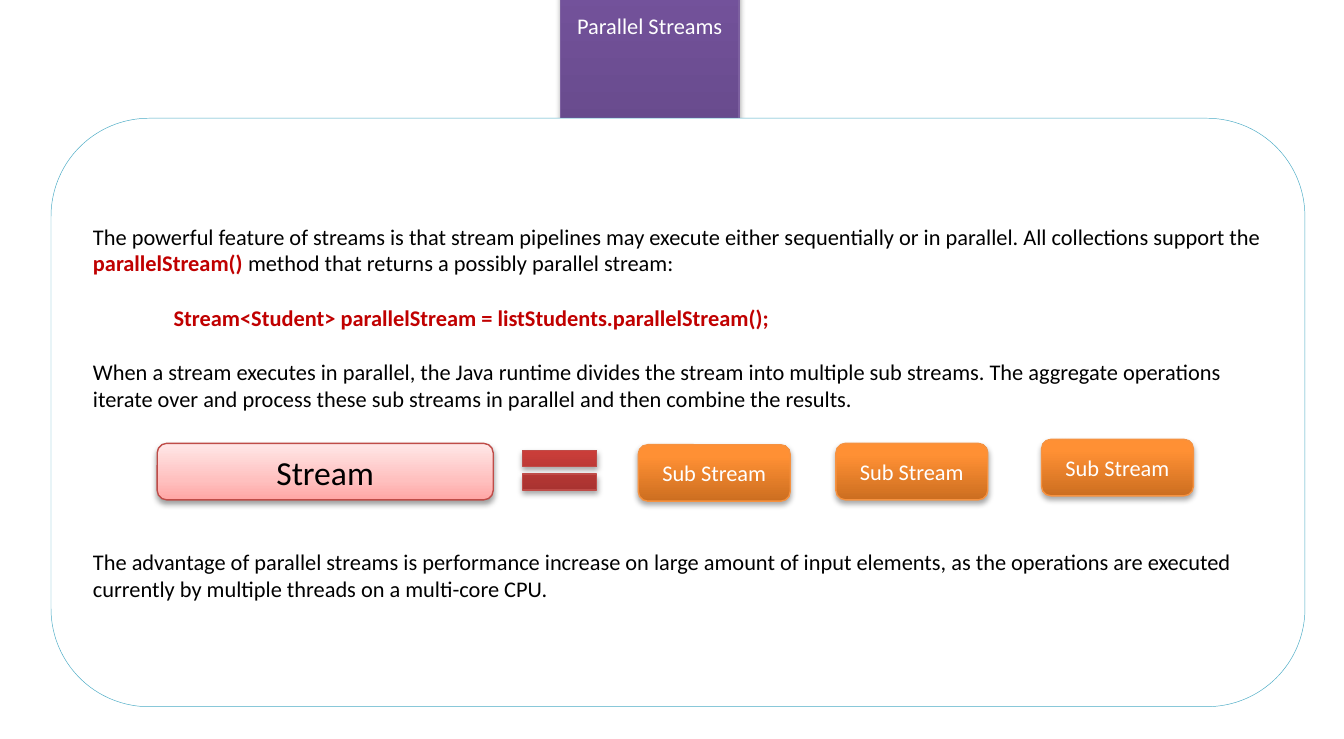
from dataclasses import dataclass

import lxml.etree
import pptx
import pptx.dml.color
import pptx.enum.shapes
import pptx.enum.text
import pptx.oxml.ns
import pptx.util

EMU_PER_PX = 9144  # 100 px to the inch
FONT = "Calibri"
BODY_SIZE = 12
LINE_PT = 14.65  # height of one body line
WHITE, BLACK, RED = "FFFFFF", "000000", "C00000"

SHAPE = pptx.enum.shapes.MSO_SHAPE
ALIGN = pptx.enum.text.PP_ALIGN
qn = pptx.oxml.ns.qn


@dataclass(frozen=True)
class Style:
    stops: tuple[tuple[int, str], ...]  # percent from the bottom, colour
    line: str
    shadow_alpha: int = 35


@dataclass(frozen=True)
class Block:
    kind: SHAPE
    box: tuple[int, int, int, int]
    style: Style
    text: str = ""
    size: int = BODY_SIZE
    color: str = WHITE


@dataclass(frozen=True)
class Para:
    runs: tuple[tuple[str, bool], ...]  # text, is code
    lines_before: int = 0
    indent: int = 0


PURPLE = Style(((0, "5F4480"), (80, "7B58A6"), (100, "7C57A8")), "7D60A0")
PINK = Style(((0, "FFA6A5"), (35, "FFC0BF"), (100, "FFE7E7")), "BF4C48", 38)
ORANGE = Style(((0, "CC6E20"), (80, "FF9034"), (100, "FF9136")), "F69240")
CRIMSON = Style(((0, "9C2F2D"), (80, "CB3E3A"), (100, "CE3B37")), "BF4C48")

TITLE_BOX = (417, 4, 133, 30)
PANEL_BOX = (38, 88, 933, 438)
SUB_STREAM_POSITIONS = ((475, 331), (622, 330), (775, 327))

BLOCKS = [
    Block(SHAPE.ROUNDED_RECTANGLE, (117, 330, 250, 42), PINK, "Stream", 18, BLACK),
    Block(SHAPE.MATH_EQUAL, (379, 325, 75, 50), CRIMSON),
] + [
    Block(SHAPE.ROUNDED_RECTANGLE, (x, y, 113, 42), ORANGE, "Sub Stream")
    for x, y in SUB_STREAM_POSITIONS
]

PARAS = [
    Para((
        ("The powerful feature of streams is that stream pipelines may execute either "
         "sequentially or in parallel. All collections support the ", False),
        ("parallelStream() ", True),
        ("method that returns a possibly parallel stream:", False),
    )),
    Para((("Stream<Student> parallelStream = listStudents.parallelStream();", True),), 1, 60),
    Para((
        ("When a stream executes in parallel, the Java runtime divides the stream into "
         "multiple sub streams. The aggregate operations iterate over and process these "
         "sub streams in parallel and then combine the results.", False),
    ), 1),
    Para((
        ("The advantage of parallel streams is performance increase on large amount of "
         "input elements, as the operations are executed currently by multiple threads "
         "on a multi-core CPU.", False),
    ), 5),
]


def px(n: int) -> int:
    return n * EMU_PER_PX


def rgb(color: str) -> pptx.dml.color.RGBColor:
    return pptx.dml.color.RGBColor.from_string(color)


def place(sp, box: tuple[int, int, int, int]) -> None:
    sp.left, sp.top, sp.width, sp.height = map(px, box)


def set_line(sp, color: str, width: float) -> None:
    sp.line.color.rgb = rgb(color)
    sp.line.width = pptx.util.Pt(width)


def format_run(r, size: int, color: str, bold: bool = False) -> None:
    r.font.name = FONT
    r.font.size = pptx.util.Pt(size)
    r.font.bold = bold
    r.font.color.rgb = rgb(color)


def add_color(parent, color: str):
    return lxml.etree.SubElement(parent, qn("a:srgbClr"), val=color)


def apply_style(sp, style: Style) -> None:
    """Give a shape a bottom-to-top gradient, an outline and a soft shadow."""
    sp.fill.gradient()
    sp.fill.gradient_angle = 90
    stops = sp.element.spPr.find(".//" + qn("a:gsLst"))
    for stop in list(stops):
        stops.remove(stop)
    for percent, color in style.stops:
        add_color(lxml.etree.SubElement(stops, qn("a:gs"), pos=str(percent * 1000)), color)

    set_line(sp, style.line, 0.75)
    sp.shadow.inherit = False
    shadow = lxml.etree.SubElement(
        sp.element.spPr.find(qn("a:effectLst")), qn("a:outerShdw"),
        blurRad=str(pptx.util.Pt(3.1)), dist=str(pptx.util.Pt(1.8)),
        dir="5400000", rotWithShape="0")
    lxml.etree.SubElement(add_color(shadow, BLACK), qn("a:alpha"),
                          val=str(style.shadow_alpha * 1000))


def set_label(sp, text: str, size: int, color: str) -> None:
    tf = sp.text_frame
    tf.text = text
    tf.word_wrap = True
    tf.vertical_anchor = pptx.enum.text.MSO_ANCHOR.MIDDLE
    p = tf.paragraphs[0]
    p.alignment = ALIGN.CENTER
    format_run(p.runs[0], size, color)


def draw_title(s) -> None:
    sp = s.shapes.title
    place(sp, TITLE_BOX)
    apply_style(sp, PURPLE)
    set_label(sp, "Parallel Streams", BODY_SIZE, WHITE)
    sp.text_frame.auto_size = pptx.enum.text.MSO_AUTO_SIZE.SHAPE_TO_FIT_TEXT


def draw_panel(s) -> None:
    sp = s.shapes.add_shape(SHAPE.ROUNDED_RECTANGLE, *map(px, PANEL_BOX))
    sp.shadow.inherit = False
    sp.fill.solid()
    sp.fill.fore_color.rgb = rgb(WHITE)
    set_line(sp, "4BACC6", 0.25)
    tf = sp.text_frame
    tf.word_wrap = True
    tf.vertical_anchor = pptx.enum.text.MSO_ANCHOR.MIDDLE
    for i, para in enumerate(PARAS):
        p = tf.add_paragraph() if i else tf.paragraphs[0]
        p.alignment = ALIGN.LEFT
        if para.indent:
            p._p.get_or_add_pPr().set("marL", str(px(para.indent)))
        if para.lines_before:
            p.space_before = pptx.util.Pt(para.lines_before * LINE_PT)
        for text, is_code in para.runs:
            r = p.add_run()
            r.text = text
            format_run(r, BODY_SIZE, RED if is_code else BLACK, is_code)


def draw_block(s, block: Block) -> None:
    sp = s.shapes.add_shape(block.kind, *map(px, block.box))
    apply_style(sp, block.style)
    if block.text:
        set_label(sp, block.text, block.size, block.color)


def main() -> None:
    prs = pptx.Presentation()
    prs.slide_width, prs.slide_height = px(1000), px(550)
    s = prs.slides.add_slide(prs.slide_layouts.get_by_name("Title Only"))
    draw_title(s)
    draw_panel(s)
    for block in BLOCKS:
        draw_block(s, block)
    prs.save("out.pptx")


if __name__ == "__main__":
    main()
